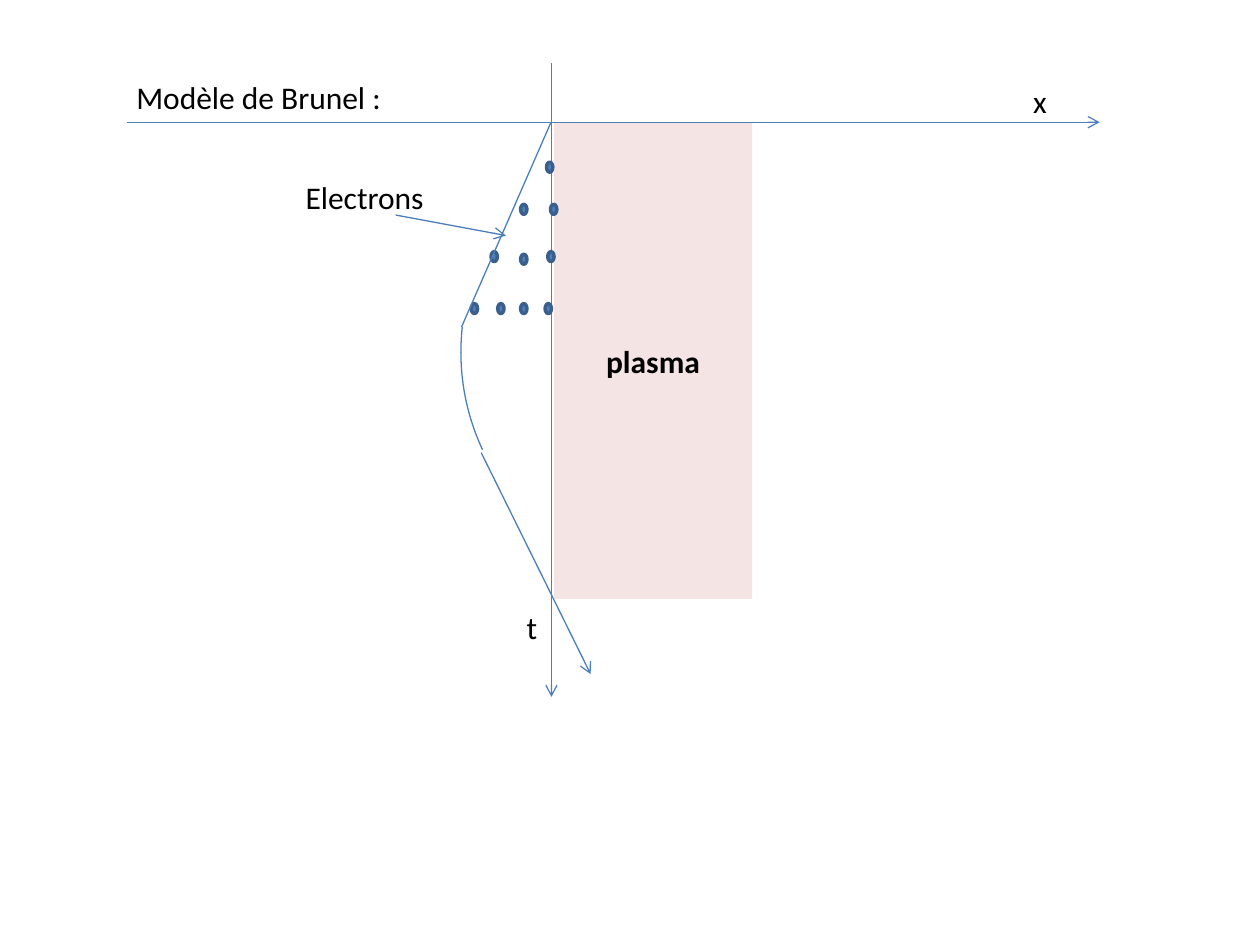
"""Draw the Brunel model slide: plasma slab, axes and electron trajectory."""
from lxml import etree
from pptx import Presentation, util as u
from pptx.dml.color import RGBColor
from pptx.enum import shapes, text
from pptx.oxml.ns import qn

Pt = u.Pt
FONT = {"name": "Calibri", "size": Pt(18), "bold": False}
LINE = "4B7EBC"
rgb = RGBColor.from_string


def write(tf, words, **extra):
    r = tf.paragraphs[0].add_run()
    r.text = words
    for key, value in {**FONT, **extra}.items():
        setattr(r.font, key, value)
    r.font.color.rgb = rgb("000000")


def draw_line(x1, y1, x2, y2, arrow=True):
    sp = s.shapes.add_connector(shapes.MSO_CONNECTOR.STRAIGHT, Pt(x1), Pt(y1), Pt(x2), Pt(y2))
    sp.line.color.rgb = rgb(LINE)
    sp.line.width = Pt(0.75)
    spPr = sp._element.spPr
    if arrow:
        etree.SubElement(spPr.find(qn("a:ln")), qn("a:tailEnd"), type="arrow")
    etree.SubElement(spPr, qn("a:effectLst"))


prs = Presentation()
prs.slide_width, prs.slide_height = Pt(720), Pt(540)
s = prs.slides.add_slide(prs.slide_layouts[6])

draw_line(315.1, 36, 315.1, 398.2)

plasma = s.shapes.add_shape(shapes.MSO_SHAPE.RECTANGLE, Pt(316.6), Pt(70), Pt(113.2), Pt(272.2))
plasma.shadow.inherit = False
plasma.fill.solid()
plasma.fill.fore_color.rgb = rgb("C0504D")
color = plasma._element.spPr.find(qn("a:solidFill"))[0]
etree.SubElement(color, qn("a:alpha"), val="15000")
plasma.line.fill.background()
plasma.text_frame.vertical_anchor = text.MSO_ANCHOR.MIDDLE
plasma.text_frame.paragraphs[0].alignment = text.PP_ALIGN.CENTER
write(plasma.text_frame, "plasma", bold=True)

draw_line(72.7, 69.84, 628.4, 69.84)

electron_rows = [
    (92.7, [312.3]),
    (116.8, [297.5, 314.6]),
    (143.8, [280.6, 313]),
    (145.3, [297.5]),
    (173.5, [269.3, 284.4, 297.5, 311.5]),
]
for y, xs in electron_rows:
    for x in xs:
        sp = s.shapes.add_shape(shapes.MSO_SHAPE.OVAL, Pt(x), Pt(y), Pt(3.6), Pt(5.7))
        sp.shadow.inherit = False
        sp.fill.solid()
        sp.fill.fore_color.rgb = rgb("4F81BD")
        sp.line.color.rgb = rgb("3A5F8C")
        sp.line.width = Pt(2)

draw_line(226.1, 122.9, 289.1, 134.6)
draw_line(275, 258.7, 337.5, 385.2)
draw_line(314.9, 69.84, 263.7, 187, arrow=False)

turn = s.shapes.add_shape(shapes.MSO_SHAPE.ARC, Pt(263.4), Pt(69.5), Pt(263.6), Pt(263.6))
turn.shadow.inherit = False
for i, degrees in enumerate((155, 186.3)):
    turn.adjustments[i] = degrees * 0.6
turn.fill.background()
turn.line.color.rgb = rgb(LINE)
turn.line.width = Pt(0.75)

labels = [
    ("Modèle de Brunel :", 70.8, 41, 160.6),
    ("t", 293.8, 343.9, 20.9),
    ("x", 583.2, 43.5, 22.3),
    ("Electrons", 167.5, 98.3, 87.1),
]
for words, x, y, width in labels:
    tf = s.shapes.add_textbox(Pt(x), Pt(y), Pt(width), Pt(29)).text_frame
    tf.word_wrap = False
    tf.auto_size = text.MSO_AUTO_SIZE.SHAPE_TO_FIT_TEXT
    write(tf, words)

prs.save("out.pptx")
